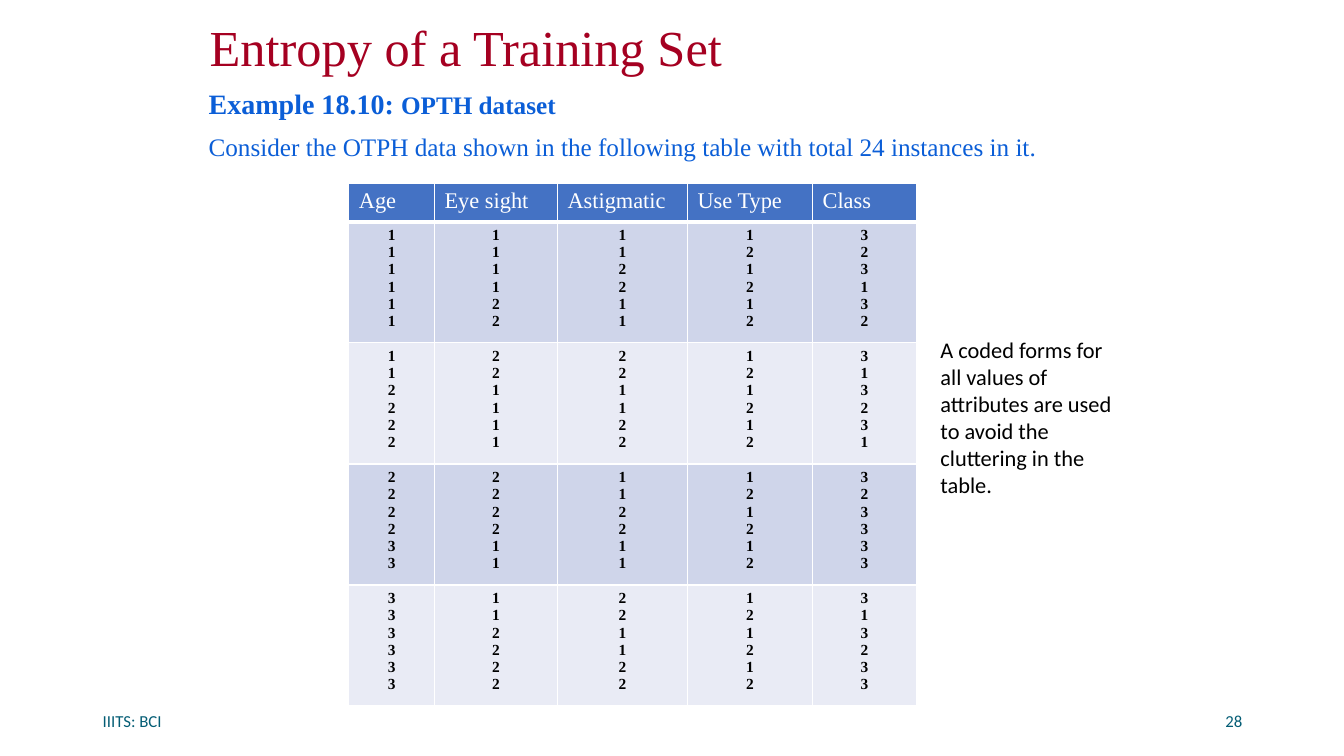
from itertools import product

from lxml.etree import SubElement
from pptx import Presentation
from pptx.dml.color import RGBColor
from pptx.enum.text import MSO_ANCHOR, PP_ALIGN
from pptx.oxml.ns import qn
from pptx.util import Inches, Pt

RED = RGBColor(0xA5, 0x00, 0x21)
BLUE = RGBColor(0x0B, 0x5E, 0xD7)
TEAL = RGBColor(0x04, 0x5D, 0x75)
HEAD = RGBColor(0x44, 0x72, 0xC4)
BANDS = RGBColor(0xCF, 0xD5, 0xEA), RGBColor(0xE9, 0xEB, 0xF5)
WHITE = RGBColor(0xFF, 0xFF, 0xFF)
BLACK = RGBColor(0x00, 0x00, 0x00)
SERIF, SANS = "Times New Roman", "Calibri"

HEADERS = "Age", "Eye sight", "Astigmatic", "Use Type", "Class"
CLASSES = "323132" "313231" "323333" "313233"
# Every combination of the four attributes, each with its class
DATA = [(*codes, label) for codes, label in
        zip(product("123", "12", "12", "12"), CLASSES)]
GROUP = 6
WIDTHS = 0.85, 1.22, 1.29, 1.24, 1.03
HEIGHTS = 0.38, 1.07, 1.07, 1.07, 1.14


def style(font, color, **values):
    font.color.rgb = color
    for name, value in values.items():
        setattr(font, name, value)


def add_run(para, text, color, **values):
    run = para.add_run()
    run.text = text
    style(run.font, color, **values)


def add_box(slide, box, anchor=MSO_ANCHOR.TOP):
    frame = slide.shapes.add_textbox(*map(Inches, box)).text_frame
    frame.word_wrap = True
    frame.vertical_anchor = anchor
    return frame


def add_title(slide, box):
    title = slide.shapes.title
    title.left, title.top, title.width, title.height = map(Inches, box)
    frame = title.text_frame
    frame.vertical_anchor = MSO_ANCHOR.MIDDLE
    para = frame.paragraphs[0]
    para.alignment = PP_ALIGN.LEFT
    para.line_spacing = 0.9
    add_run(para, "Entropy of a Training Set", RED, size=Pt(36), name=SERIF)


def add_intro(slide, box):
    frame = add_box(slide, box)
    first, second = frame.paragraphs[0], frame.add_paragraph()
    first.line_spacing = second.line_spacing = 0.9
    second.space_before = Pt(10)
    add_run(first, "Example 18.10: ", BLUE, size=Pt(20), name=SERIF, bold=True)
    add_run(first, "OPTH dataset", BLUE, size=Pt(18), name=SERIF, bold=True)
    add_run(second, "Consider the OTPH data shown in the following table "
            "with total 24 instances in it.", BLUE, size=Pt(18), name=SERIF)


def fill_cell(cell, lines, fill, align, base, color, **values):
    """Write one paragraph a line, with white borders around the cell."""
    props = cell._tc.get_or_add_tcPr()
    for side, points in zip("LRTB", (1, 1, 1, base)):
        line = SubElement(props, qn(f"a:ln{side}"), w=str(Pt(points)))
        paint = SubElement(line, qn("a:solidFill"))
        SubElement(paint, qn("a:srgbClr"), val=str(WHITE))
    cell.fill.solid()
    cell.fill.fore_color.rgb = fill
    cell.text_frame.text = "\n".join(lines)
    for para in cell.text_frame.paragraphs:
        para.alignment = align
        for run in para.runs:
            style(run.font, color, name=SERIF, **values)


def add_data(slide, box):
    table = slide.shapes.add_table(len(HEIGHTS), len(WIDTHS),
                                   *map(Inches, box)).table
    for col, width in zip(table.columns, WIDTHS):
        col.width = Inches(width)
    for row, height in zip(table.rows, HEIGHTS):
        row.height = Inches(height)
    for col, text in enumerate(HEADERS):
        fill_cell(table.cell(0, col), [text], HEAD, PP_ALIGN.LEFT, 3,
                  WHITE, size=Pt(16), bold=False)
    for row in range(1, len(HEIGHTS)):
        group = DATA[(row - 1) * GROUP:row * GROUP]
        for col, codes in enumerate(zip(*group)):
            fill_cell(table.cell(row, col), codes, BANDS[(row - 1) % 2],
                      PP_ALIGN.CENTER, 1, BLACK, size=Pt(11), bold=True)


def add_note(slide, box):
    add_run(add_box(slide, box).paragraphs[0],
            "A coded forms for all values of attributes are used "
            "to avoid the cluttering in the table.",
            BLACK, size=Pt(16), name=SANS)


def add_footer(slide, box):
    left, top, width, height = box
    part = 3
    for start, text, align in (
            (left, "IIITS: BCI", PP_ALIGN.LEFT),
            (left + width - part, "28", PP_ALIGN.RIGHT)):
        frame = add_box(slide, (start, top, part, height), MSO_ANCHOR.MIDDLE)
        para = frame.paragraphs[0]
        para.alignment = align
        add_run(para, text, TEAL, size=Pt(12), name=SANS)


def main():
    deck = Presentation()
    deck.slide_width, deck.slide_height = Inches(13.33), Inches(7.5)
    slide = deck.slides.add_slide(deck.slide_layouts[5])
    add_title(slide, (1.98, 0.19, 9.33, 0.61))
    add_intro(slide, (1.97, 0.85, 9.21, 0.9))
    add_footer(slide, (0.92, 6.95, 11.5, 0.4))
    add_data(slide, (3.46, 1.82, sum(WIDTHS), sum(HEIGHTS)))
    add_note(slide, (9.23, 3.29, 1.96, 1.72))
    deck.save("out.pptx")


if __name__ == "__main__":
    main()
